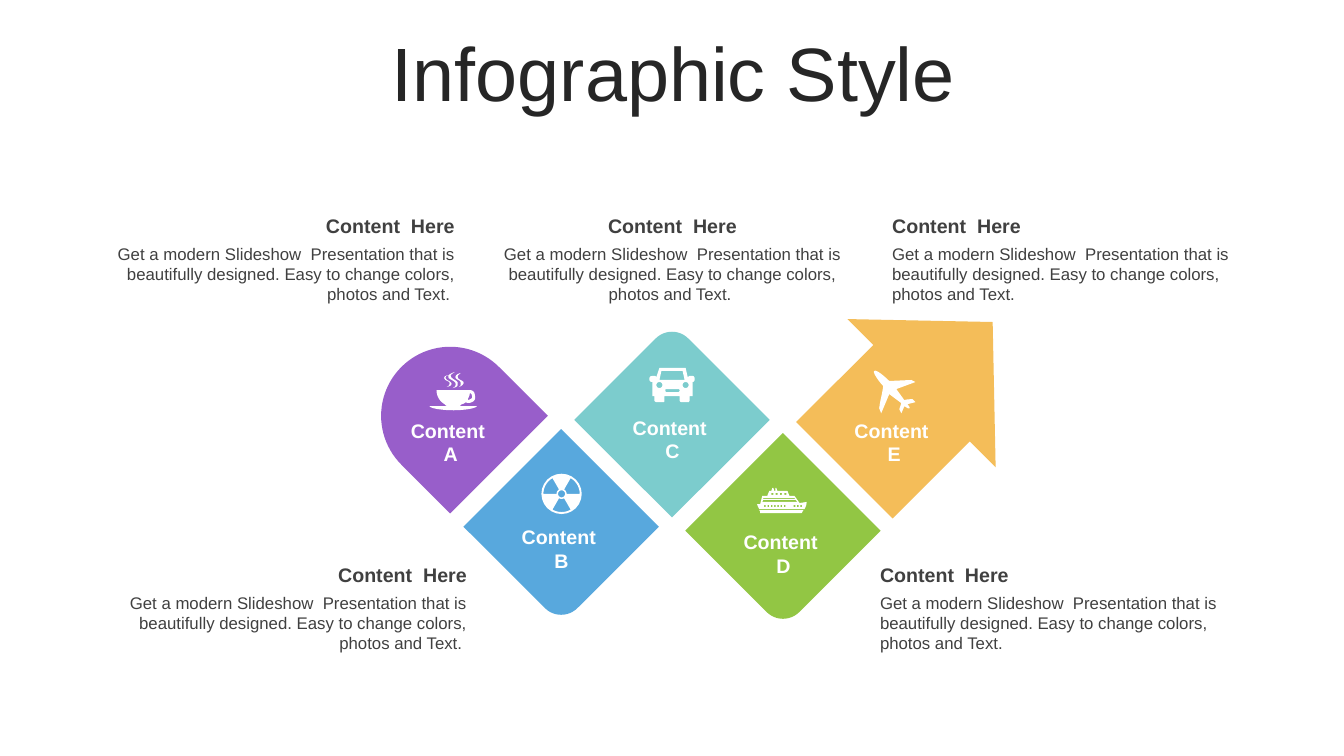
from math import cos, radians, sin

from pptx import Presentation
from pptx.dml.color import RGBColor
from pptx.enum.shapes import MSO_SHAPE as Preset
from pptx.enum.text import MSO_ANCHOR as Anchor, MSO_AUTO_SIZE as AutoSize, PP_ALIGN as Align
from pptx.util import Inches, Pt

COLORS = {
    "title": "262626", "text": "404040", "white": "FFFFFF", "purple": "985ECA",
    "blue": "58A8DD", "teal": "7CCCCD", "green": "92C644", "amber": "F4BD59",
}
BODY = ("Get a modern Slideshow  Presentation that is beautifully designed. "
        "Easy to change colors, photos and Text. ")


def bezier(start, first, second, end, steps=6):
    for step in range(1, steps + 1):
        t = step / steps
        weights = ((1 - t) ** 3, 3 * t * (1 - t) ** 2, 3 * t * t * (1 - t), t ** 3)
        yield tuple(sum(w * p[axis] for w, p in zip(weights, (start, first, second, end)))
                    for axis in (0, 1))


def outline(text):
    tokens = iter(text.split())
    points, curve, mode = [], [], "L"
    for token in tokens:
        if token in "LC":
            mode = token
            continue
        point = int(token) / 100, int(next(tokens)) / 100
        if mode == "L":
            points.append(point)
            continue
        curve.append(point)
        if len(curve) == 3:
            points.extend(bezier(points[-1], *curve))
            curve = []
    return points


def arc(x, y, radius, start, end, steps=24):
    angles = [radians(start + (end - start) * step / steps) for step in range(steps + 1)]
    return [(x + radius * cos(angle), y + radius * sin(angle)) for angle in angles]


def circle(x, y, radius):
    return arc(x, y, radius, 0, 360)


def sector(x, y, inner, outer, middle):
    return arc(x, y, outer, middle - 30, middle + 30) + arc(x, y, inner, middle + 30, middle - 30)


def window(x, y, width):
    return [(x, y), (x, y + 0.02), (x + width, y + 0.02), (x + width, y)]


CUP = [outline(text) for text in (
    "466 390 C 466 392 465 394 464 396 464 397 466 397 466 396 "
    "468 396 469 394 468 392 468 391 467 390 466 390",
    "466 387 C 469 387 471 389 471 392 472 395 471 398 468 399 466 400 463 400 462 399 "
    "461 400 459 401 458 401 457 402 456 403 455 403 L 473 403 "
    "C 472 405 462 407 450 407 437 407 427 405 426 403 L 444 403 "
    "C 443 403 442 402 441 401 436 398 433 393 433 387",
    "445 372 C 443 373 442 373 442 375 443 378 448 378 448 381 447 383 446 383 443 384 "
    "445 383 446 382 446 380 446 378 442 378 441 376 440 374 441 373 445 372",
    "457 370 C 455 372 454 372 454 374 454 377 460 377 460 380 459 382 458 383 455 384 "
    "457 383 457 382 457 380 457 377 453 377 452 375 451 373 453 371 457 370",
    "451 369 C 449 371 447 371 447 373 448 377 455 377 454 381 454 384 452 384 449 385 "
    "451 384 452 383 452 381 452 378 447 377 445 375 444 372 446 371 451 369",
)]
HUB = (5.57, 4.9)
RADIATION = [circle(*HUB, 0.2), circle(*HUB, 0.035)]
RADIATION += [sector(*HUB, 0.05, 0.18, middle) for middle in (90, 210, 330)]
CAR = [outline(text) for text in (
    "654 365 L 680 365 682 374 C 683 374 683 373 684 373 L 687 373 "
    "C 688 373 689 374 689 376 689 378 688 379 687 379 L 687 393 684 393 684 397 "
    "C 684 398 683 399 683 399 L 676 399 C 675 399 674 398 674 397 L 674 393 659 393 659 397 "
    "C 659 398 659 399 658 399 L 651 399 C 650 399 649 398 649 397 L 649 393 647 393 647 379 "
    "C 645 379 644 378 644 376 644 374 645 373 647 373 L 650 373 C 650 373 651 374 651 374",
    "656 368 654 377 679 377 677 368",
    "661 386 C 660 386 660 386 660 387 660 388 660 389 661 389 L 673 389 "
    "C 673 389 674 388 674 388 674 387 674 386 673 386",
)]
CAR += [circle(x, 3.82, 0.03) for x in (6.54, 6.8)]
SHIP = [outline(text) for text in (
    "753 506 797 506 C 796 507 796 508 795 509 L 754 509 C 754 508 754 507 753 506",
    "757 496 756 498 791 498 789 496",
    "757 494 757 495 789 495 788 494",
    "769 484 770 484 771 487 781 487 783 492 788 492 793 499 800 498 "
    "C 800 501 799 503 798 505 L 753 505 C 752 503 751 501 751 500 "
    "L 754 500 756 492 761 492 763 487 765 487 766 484 767 484 768 487 769 487",
)]
SHIP += [window(7.58 + 0.0325 * slot, 5.01, 0.015) for slot in (*range(7), 9, 10, 11)]
SHIP += [window(7.65 + 0.043 * slot, 4.89, 0.02) for slot in range(4)]
PLANE = [outline(
    "908 399 900 401 C 901 402 903 405 902 405 901 406 899 404 897 403 L 894 410 892 406 "
    "894 400 882 391 874 410 872 405 C 873 397 875 391 876 383 872 379 865 369 867 368 "
    "869 366 878 374 882 378 L 904 377 908 379 889 386 897 397 C 899 396 905 396 905 396")]


class Infographic:
    font = "Arial"

    def __init__(self, deck):
        self.page = deck.slides.add_slide(deck.slide_layouts[5])

    def paint(self, shape, color):
        shape.shadow.inherit = False
        shape.fill.solid()
        shape.fill.fore_color.rgb = RGBColor.from_string(COLORS[color])
        shape.line.fill.background()

    def fill_text(self, frame, text, size, color, align, bold=False):
        para = frame.paragraphs[0]
        para.alignment = align
        span = para.add_run()
        span.text = text
        span.font.name = self.font
        span.font.size = Pt(size)
        span.font.bold = bold
        span.font.color.rgb = RGBColor.from_string(COLORS[color])
        return para

    def title(self, text, *place):
        box = self.page.shapes.title
        box.left, box.top, box.width, box.height = map(Inches, place)
        box.text_frame.vertical_anchor = Anchor.MIDDLE
        self.fill_text(box.text_frame, text, 54, "title", Align.CENTER).line_spacing = 0.9

    def text(self, text, place, size, color, align, bold=False, anchor=Anchor.TOP):
        frame = self.page.shapes.add_textbox(*map(Inches, place)).text_frame
        frame.word_wrap = True
        frame.auto_size = AutoSize.SHAPE_TO_FIT_TEXT
        frame.vertical_anchor = anchor
        self.fill_text(frame, text, size, color, align, bold)

    def caption(self, left, top, width, align):
        self.text("Content  Here", (left, top, width, 0.34), 14, "text", align, True, Anchor.MIDDLE)
        self.text(BODY, (left, top + 0.3, width, 0.71), 12, "text", align)

    def label(self, letter, left, top):
        self.text(f"Content  {letter}", (left, top, 1, 0.57), 14, "white",
                  Align.CENTER, True, Anchor.MIDDLE)

    def tile(self, preset, left, top, size, turn, color, adjust=()):
        shape = self.page.shapes.add_shape(preset, *map(Inches, (left, top, size, size)))
        shape.rotation = turn
        for index, value in enumerate(adjust):
            shape.adjustments[index] = value
        self.paint(shape, color)

    def icon(self, contours):
        builder = None
        for contour in contours:
            start, *rest = [tuple(map(Inches, point)) for point in contour]
            if builder is None:
                builder = self.page.shapes.build_freeform(*start)
            else:
                builder.move_to(*start)
            builder.add_line_segments(rest, close=True)
        self.paint(builder.convert_to_shape(), "white")


def main():
    deck = Presentation()
    deck.slide_width, deck.slide_height = Inches(13.33), Inches(7.5)
    page = Infographic(deck)
    page.title("Infographic Style", 0.35, 0.37, 12.66, 0.79)

    tiles = (
        (Preset.ROUND_2_SAME_RECTANGLE, 3.44, 315, "purple", (0.5, 0)),
        (Preset.ROUND_1_RECTANGLE, 4.54, 135, "blue", ()),
        (Preset.ROUND_1_RECTANGLE, 3.48, 315, "teal", ()),
        (Preset.ROUND_1_RECTANGLE, 4.58, 135, "green", ()),
    )
    for column, (preset, top, turn, color, adjust) in enumerate(tiles):
        page.tile(preset, 3.78 + 1.1 * column, top, 1.37, turn, color, adjust)
    page.tile(Preset.RIGHT_ARROW, 8.07, 2.89, 2.08, 315, "amber", (0.65, 0.48))

    for caption in (
        (0.78, 2.07, 3.83, Align.RIGHT),
        (4.78, 2.07, 3.78, Align.CENTER),
        (8.75, 2.07, 3.73, Align.LEFT),
        (0.79, 5.53, 3.94, Align.RIGHT),
        (8.63, 5.53, 3.73, Align.LEFT),
    ):
        page.caption(*caption)

    for column, (letter, top) in enumerate(zip("ABCDE", (4.1, 5.16, 4.07, 5.21, 4.1))):
        page.label(letter, 3.97 + 1.1 * column, top)
    for contours in (CUP, RADIATION, CAR, SHIP, PLANE):
        page.icon(contours)
    deck.save("out.pptx")


if __name__ == "__main__":
    main()
